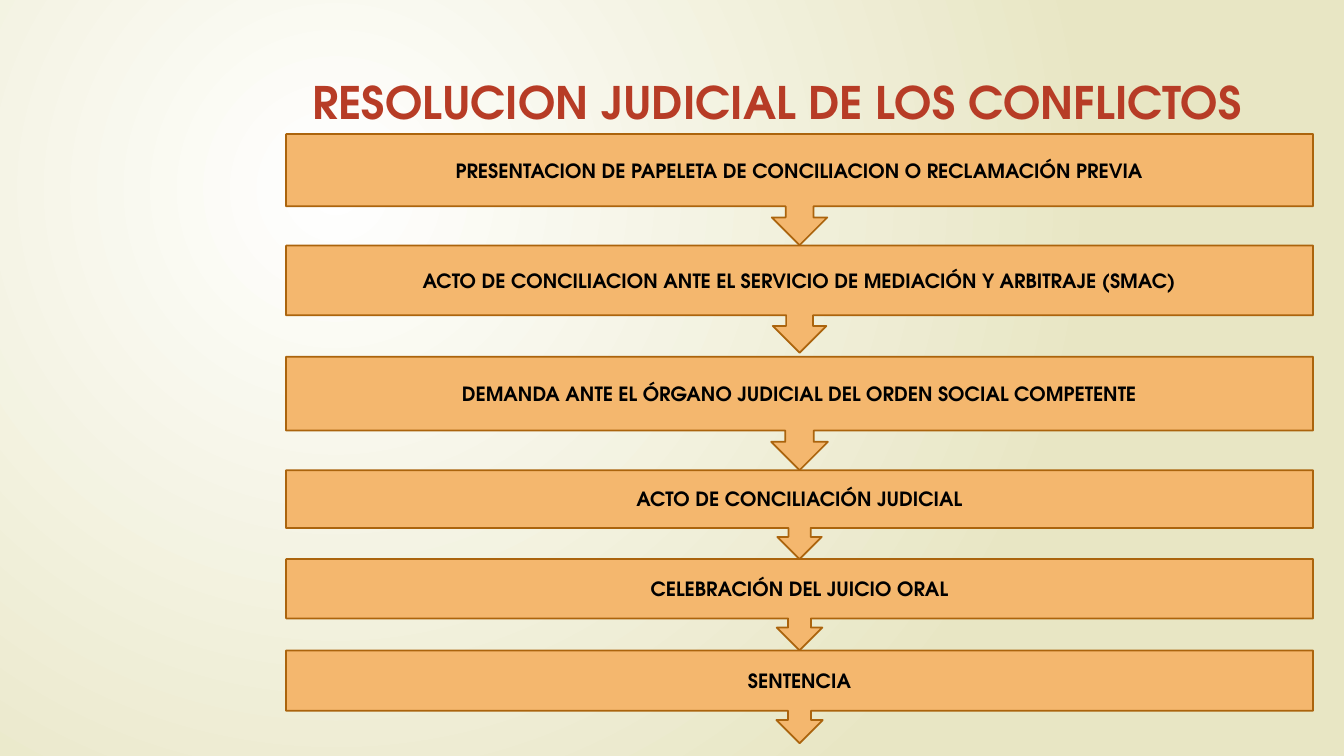
"""Build a slide with the steps of the judicial resolution of labour conflicts."""
from lxml import etree
from pptx import Presentation
from pptx.dml.color import RGBColor
from pptx.enum.shapes import MSO_SHAPE
from pptx.enum.text import MSO_ANCHOR, PP_ALIGN
from pptx.oxml.ns import qn
from pptx.util import Cm, Pt

CALLOUT = MSO_SHAPE.DOWN_ARROW_CALLOUT
MIDDLE = MSO_ANCHOR.MIDDLE
CENTER = PP_ALIGN.CENTER
FONT = "TeX Gyre Adventor"
TITLE_ONLY = 5
LEFT = 7.21
STEP_WIDTH = 25.88

STEPS = [
    ("PRESENTACION DE PAPELETA DE CONCILIACION O RECLAMACIÓN PREVIA", 3.38, 2.8),
    ("ACTO DE CONCILIACION ANTE EL SERVICIO DE MEDIACIÓN Y ARBITRAJE (SMAC)", 6.19, 2.7),
    ("DEMANDA ANTE EL ÓRGANO JUDICIAL DEL ORDEN SOCIAL COMPETENTE", 8.99, 2.86),
    ("ACTO DE CONCILIACIÓN JUDICIAL", 11.85, 2.24),
    ("CELEBRACIÓN DEL JUICIO ORAL", 14.09, 2.3),
    ("SENTENCIA", 16.39, 2.34),
]


def color(hex_value):
    return RGBColor.from_string(hex_value)


def write(shape, text, size, hex_value):
    frame = shape.text_frame
    frame.text = text
    frame.word_wrap = True
    frame.vertical_anchor = MIDDLE
    para = frame.paragraphs[0]
    para.alignment = CENTER
    font = para.runs[0].font
    font.name = FONT
    font.size = Pt(size)
    font.bold = True
    font.color.rgb = color(hex_value)


deck = Presentation()
deck.slide_width = Cm(33.87)
deck.slide_height = Cm(19.05)
page = deck.slides.add_slide(deck.slide_layouts[TITLE_ONLY])

backdrop = page.background.fill
backdrop.gradient()
for stop, position, hex_value in zip(backdrop.gradient_stops, (0, 1), ("FFFFFF", "E8E6C4")):
    stop.position = position
    stop.color.rgb = color(hex_value)
gradient = page.element.find(".//" + qn("a:gradFill"))
gradient.remove(gradient.find(qn("a:lin")))
circle = etree.SubElement(gradient, qn("a:path"), {"path": "circle"})
etree.SubElement(circle, qn("a:fillToRect"), {"l": "50000", "t": "50000", "r": "100000", "b": "100000"})

title = page.shapes.title
title.left, title.top = Cm(LEFT), Cm(1.73)
title.width, title.height = Cm(24.77), Cm(1.65)
write(title, "RESOLUCION JUDICIAL DE LOS CONFLICTOS", 32, "B73C26")

for text, top, height in STEPS:
    box = page.shapes.add_shape(CALLOUT, Cm(LEFT), Cm(top), Cm(STEP_WIDTH), Cm(height))
    box.shadow.inherit = False
    box.fill.solid()
    box.fill.fore_color.rgb = color("F4B76E")
    box.line.color.rgb = color("AB640D")
    box.line.width = Pt(1.25)
    write(box, text, 14, "000000")

deck.save("out.pptx")
